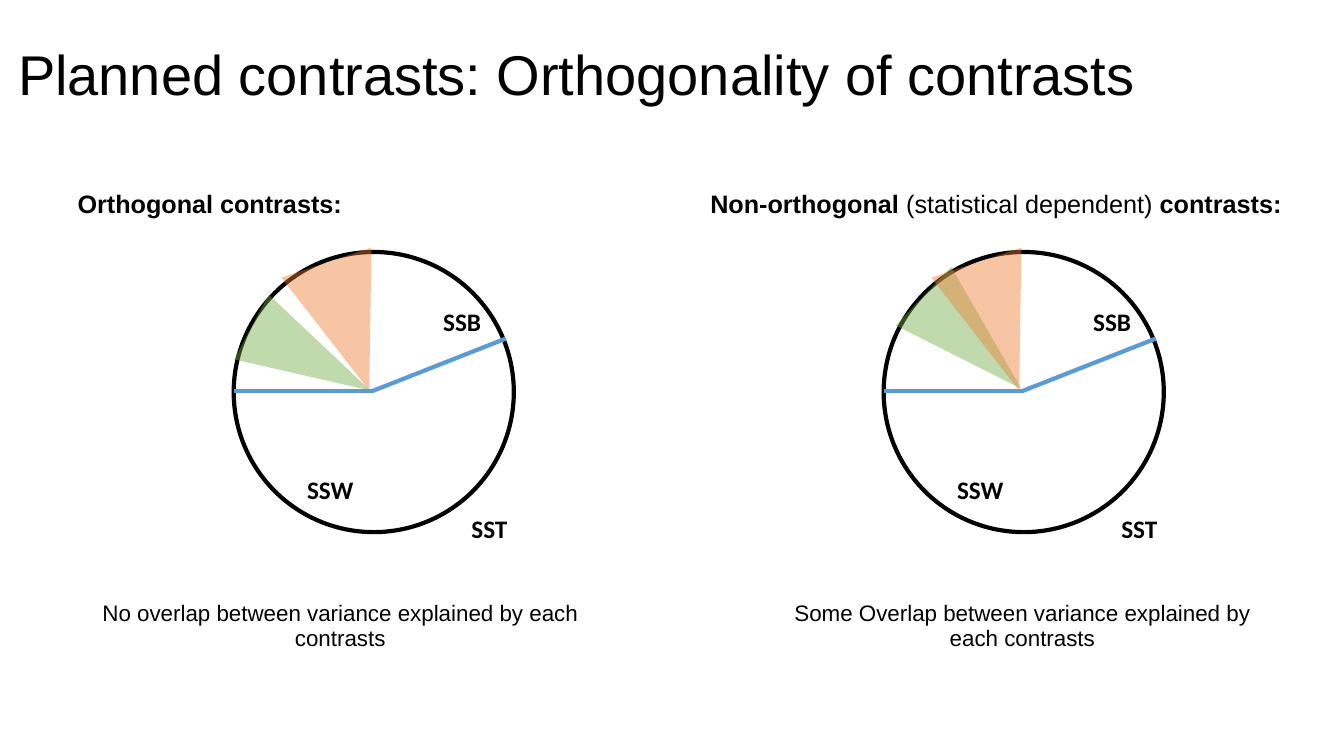
import pptx
import pptx.util
import pptx.dml.color
import pptx.enum.shapes
import pptx.enum.text
import pptx.oxml.ns
from lxml import etree

Cm, Pt = pptx.util.Cm, pptx.util.Pt
Align = pptx.enum.text.PP_ALIGN
Anchor = pptx.enum.text.MSO_ANCHOR
Kind = pptx.enum.shapes.MSO_SHAPE
qn = pptx.oxml.ns.qn

COLORS = {
    "ink": "000000",
    "paper": "FFFFFF",
    "blue": "5B9BD5",
    "green": "70AD47",
    "orange": "ED7D31",
}


def tint(name):
    return pptx.dml.color.RGBColor.from_string(COLORS[name])


class Board:
    """Holds the style and the current slide."""

    font = "Arial"
    label_font = "Calibri"
    stroke = Pt(3)
    alpha = 44

    def __init__(self, slide):
        self.slide = slide
        self.shapes = slide.shapes

    def fill_text(self, frame, parts, size, font=None, align=Align.LEFT, lead=0.9):
        """Put (text, bold) parts into the first paragraph of a frame."""
        para = frame.paragraphs[0]
        for text, bold in parts:
            run = para.add_run()
            run.text = text
            run.font.name = font or self.font
            run.font.size = Pt(size)
            run.font.bold = bold
            run.font.color.rgb = tint("ink")
        para.alignment = align
        para.line_spacing = lead
        para.space_before = Pt(0)

    def holder(self, shape, box, parts, size, anchor):
        shape.left, shape.top, shape.width, shape.height = map(Cm, box)
        frame = shape.text_frame
        frame.auto_size = pptx.enum.text.MSO_AUTO_SIZE.NONE
        frame.vertical_anchor = anchor
        self.fill_text(frame, parts, size)

    def title(self, box, text):
        self.holder(self.shapes.title, box, [(text, False)], 40, Anchor.MIDDLE)

    def body(self, box, parts):
        shape = self.slide.placeholders[1]
        props = shape.text_frame.paragraphs[0]._p.get_or_add_pPr()
        props.set("marL", "0")
        props.set("indent", "0")
        etree.SubElement(props, qn("a:buNone"))
        self.holder(shape, box, parts, 18, Anchor.TOP)

    def text(self, box, parts, size, align=Align.LEFT):
        frame = self.shapes.add_textbox(*map(Cm, box)).text_frame
        frame.word_wrap = True
        self.fill_text(frame, parts, size, align=align)

    def label(self, x, y, wide, text):
        frame = self.shapes.add_textbox(Cm(x), Cm(y), Cm(wide), Cm(1.02)).text_frame
        frame.word_wrap = False
        frame.auto_size = pptx.enum.text.MSO_AUTO_SIZE.SHAPE_TO_FIT_TEXT
        self.fill_text(frame, [(text, True)], 18, self.label_font, lead=1.0)

    def circle(self, x, y, size):
        ring = self.shapes.add_shape(Kind.OVAL, Cm(x), Cm(y), Cm(size), Cm(size))
        ring.shadow.inherit = False
        ring.fill.solid()
        ring.fill.fore_color.rgb = tint("paper")
        ring.line.color.rgb = tint("ink")
        ring.line.width = self.stroke

    def line(self, *ends):
        line = self.shapes.add_connector(
            pptx.enum.shapes.MSO_CONNECTOR.STRAIGHT, *map(Cm, ends))
        line.line.color.rgb = tint("blue")
        line.line.width = self.stroke
        etree.SubElement(line._element.spPr, qn("a:effectLst"))

    def wedge(self, box, turn, color):
        wedge = self.shapes.add_shape(Kind.ISOSCELES_TRIANGLE, *map(Cm, box))
        wedge.rotation = turn
        wedge.shadow.inherit = False
        wedge.fill.solid()
        wedge.fill.fore_color.rgb = tint(color)
        wedge.line.fill.background()
        shade = wedge._element.spPr.find(qn("a:solidFill"))[0]
        etree.SubElement(shade, qn("a:alpha"), val=str(self.alpha * 1000))

    def pie(self, x, green, turn):
        """Draw the variance circle with its left edge at x."""
        self.circle(x, 6.35, 7.06)
        self.label(x + 5.74, 12.8, 1.42, "SST")
        self.line(x, 9.86, x + 3.53, 9.86)
        self.line(x + 3.48, 9.86, x + 6.86, 8.53)
        self.label(x + 5.03, 7.59, 1.47, "SSB")
        self.label(x + 1.6, 11.84, 1.7, "SSW")
        # Contrast wedges
        dx, top, wide = green
        self.wedge((x + dx, top, wide, 3.4), turn, "green")
        self.wedge((x + 1.68, 6.53, 2.39, 3.4), 161.5, "orange")


def main():
    deck = pptx.Presentation()
    deck.slide_width, deck.slide_height = Cm(33.87), Cm(19.05)
    board = Board(deck.slides.add_slide(deck.slide_layouts[1]))
    board.title((0.2, 0.1, 31.14, 3.68),
                "Planned contrasts: Orthogonality of contrasts")

    # Headings
    board.body((1.7, 4.7, 11.76, 1.19), [("Orthogonal contrasts:", True)])
    board.text((17.65, 4.7, 15.65, 1.19), [
        ("Non-orthogonal ", True),
        ("(statistical dependent) ", False),
        ("contrasts:", True),
    ], 18)

    # Circles
    board.pie(5.89, (1.02, 7.34, 1.85), 118.1)
    board.pie(22.27, (1.22, 6.93, 2.03), 133.4)

    # Captions
    for x, words in ((2.06, "No overlap"), (19.25, "Some Overlap")):
        text = f"{words} between variance explained by each contrasts"
        board.text((x, 15.06, 13.03, 1.6), [(text, False)], 16, Align.CENTER)

    deck.save("out.pptx")


if __name__ == "__main__":
    main()
